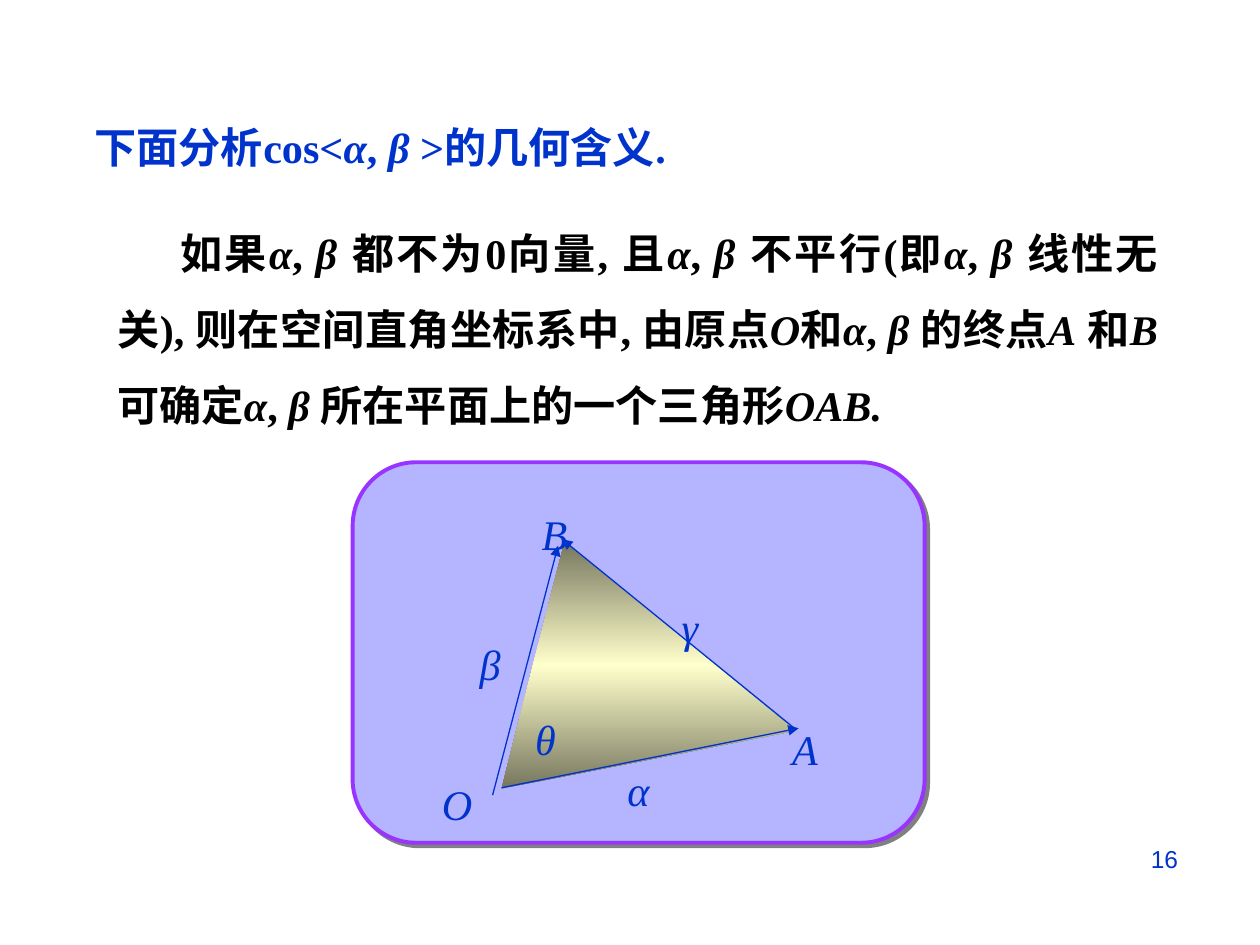
import copy

import pptx
import pptx.dml.color
import pptx.enum.shapes
import pptx.enum.text
import pptx.oxml
import pptx.oxml.ns
import pptx.util
from pptx.util import Cm, Pt

RGBColor = pptx.dml.color.RGBColor
BLUE = RGBColor(0x00, 0x33, 0xCC)
BLACK = RGBColor(0x00, 0x00, 0x00)
LAVENDER = RGBColor(0xB5, 0xB5, 0xFF)
VIOLET = RGBColor(0x99, 0x33, 0xFF)
OLIVE = RGBColor(0x76, 0x76, 0x5E)
CREAM = RGBColor(0xFF, 0xFF, 0xCC)

SERIF = "Times New Roman"
SIZE = Pt(24.1)
ALIGN = pptx.enum.text.PP_ALIGN
NAMESPACE = pptx.oxml.ns.nsdecls("a")

# Asterisks switch italics on and off. Lengths are centimetres.
TITLE = "下面分析cos<*α*, *β* >的几何含义."
BODY = ("如果*α*, *β *都不为0向量, 且*α*, *β *不平行(即*α*, *β *线性无关), "
        "则在空间直角坐标系中, 由原点*O*和*α*, *β *的终点*A* 和*B* 可确定"
        "*α*, *β *所在平面上的一个三角形*OAB.*")
PAGE_NUMBER = "16"

TITLE_AREA = (1.65, 2.31, 14.88, 1.3)
BODY_AREA = (2.11, 3.94, 21.49, 4.7)
NUMBER_AREA = (18.21, 16.71, 6.35, 1.32)
PANEL_AREA = (7.11, 9.32, 11.53, 7.67)

TRIANGLE = [(11.38, 10.92), (10.11, 15.9), (16.03, 14.73)]
VECTORS = [
    ((10.11, 15.88), (16.1, 14.68)),
    ((16.05, 14.71), (11.33, 10.87)),
    ((9.93, 16.03), (11.25, 11.0)),
]
LABEL_SIZE = (1.37, 1.3)
LABELS = [
    ("α", 12.4, 15.29), ("β", 9.42, 12.75), ("γ", 13.49, 11.99),
    ("A", 15.72, 14.45), ("B", 10.67, 10.13), ("O", 8.66, 15.57),
    ("θ", 10.54, 14.25),
]


def lengths(values):
    return [Cm(value) for value in values]


def set_text(box, marked, color, bold=False, alignment=ALIGN.LEFT):
    """Fill a box with one paragraph, reading asterisks as italic switches."""
    frame = box.text_frame
    frame.word_wrap = True
    frame.auto_size = pptx.enum.text.MSO_AUTO_SIZE.NONE
    frame.vertical_anchor = pptx.enum.text.MSO_ANCHOR.TOP
    para = frame.paragraphs[0]
    para.alignment = alignment
    para.space_before = Pt(0)
    for index, piece in enumerate(marked.split("*")):
        if piece:
            span = para.add_run()
            span.text = piece
            span.font.name = SERIF
            span.font.size = SIZE
            span.font.bold = bold
            span.font.italic = index % 2 == 1
            span.font.color.rgb = color
    return para


def place(box, area):
    box.left, box.top, box.width, box.height = lengths(area)


def add_panel(shapes):
    panel = shapes.add_shape(
        pptx.enum.shapes.MSO_SHAPE.ROUNDED_RECTANGLE, *lengths(PANEL_AREA))
    panel.adjustments[0] = 0.167
    panel.fill.solid()
    panel.fill.fore_color.rgb = LAVENDER
    panel.line.color.rgb = VIOLET
    panel.line.width = Pt(2.25)
    panel.shadow.inherit = False
    effects = panel.element.spPr.find(pptx.oxml.ns.qn("a:effectLst"))
    effects.append(pptx.oxml.parse_xml(
        f'<a:outerShdw {NAMESPACE} dist="{Pt(2.8)}" dir="2700000" algn="ctr" '
        'rotWithShape="0"><a:srgbClr val="808080"/></a:outerShdw>'))


def add_triangle(shapes):
    corners = [lengths(point) for point in TRIANGLE]
    builder = shapes.build_freeform(*corners[0])
    builder.add_line_segments(corners[1:], close=True)
    triangle = builder.convert_to_shape()
    triangle.shadow.inherit = False
    triangle.line.fill.background()
    triangle.fill.gradient()
    triangle.fill.gradient_angle = 90
    stops = triangle.element.spPr.find(".//" + pptx.oxml.ns.qn("a:gsLst"))
    stops.insert(1, copy.deepcopy(stops[0]))
    colors = (OLIVE, CREAM, OLIVE)
    for index, (stop, color) in enumerate(zip(triangle.fill.gradient_stops, colors)):
        stop.position = index / 2
        stop.color.rgb = color


def add_vector(shapes, start, end):
    vector = shapes.add_connector(
        pptx.enum.shapes.MSO_CONNECTOR.STRAIGHT, *lengths(start + end))
    vector.line.color.rgb = BLUE
    vector.line.width = Pt(0.75)
    properties = vector.element.spPr
    properties.find(pptx.oxml.ns.qn("a:ln")).append(
        pptx.oxml.parse_xml(f'<a:tailEnd {NAMESPACE} type="triangle"/>'))
    properties.append(pptx.oxml.parse_xml(f"<a:effectLst {NAMESPACE}/>"))


def add_page_number(page):
    box = page.shapes.add_textbox(*lengths(NUMBER_AREA))
    frame = box.text_frame
    frame.word_wrap = True
    frame.margin_left = frame.margin_right = Cm(0.81)
    frame.margin_top = frame.margin_bottom = Cm(0.41)
    frame.text = PAGE_NUMBER
    para = frame.paragraphs[0]
    para.alignment = ALIGN.RIGHT
    font = para.runs[0].font
    font.name = "Arial"
    font.size = Pt(14)
    font.color.rgb = BLUE


def main():
    deck = pptx.Presentation()
    deck.slide_width, deck.slide_height = Cm(25.4), Cm(19.05)
    page = deck.slides.add_slide(deck.slide_layouts[1])

    title, body = page.placeholders
    place(title, TITLE_AREA)
    set_text(title, TITLE, BLUE, bold=True)
    place(body, BODY_AREA)
    para = set_text(body, BODY, BLACK, bold=True, alignment=ALIGN.JUSTIFY)
    para.line_spacing = 1.5
    properties = para._p.get_or_add_pPr()
    properties.set("marL", "0")
    properties.set("indent", str(Cm(1.27)))
    properties.append(pptx.oxml.parse_xml(f"<a:buNone {NAMESPACE}/>"))

    add_page_number(page)

    diagram = page.shapes.add_group_shape().shapes
    add_panel(diagram)
    add_triangle(diagram)
    for start, end in VECTORS:
        add_vector(diagram, start, end)
    for name, left, top in LABELS:
        label = diagram.add_textbox(*lengths((left, top) + LABEL_SIZE))
        set_text(label, f"*{name}*", BLUE)

    deck.save("out.pptx")


if __name__ == "__main__":
    main()
